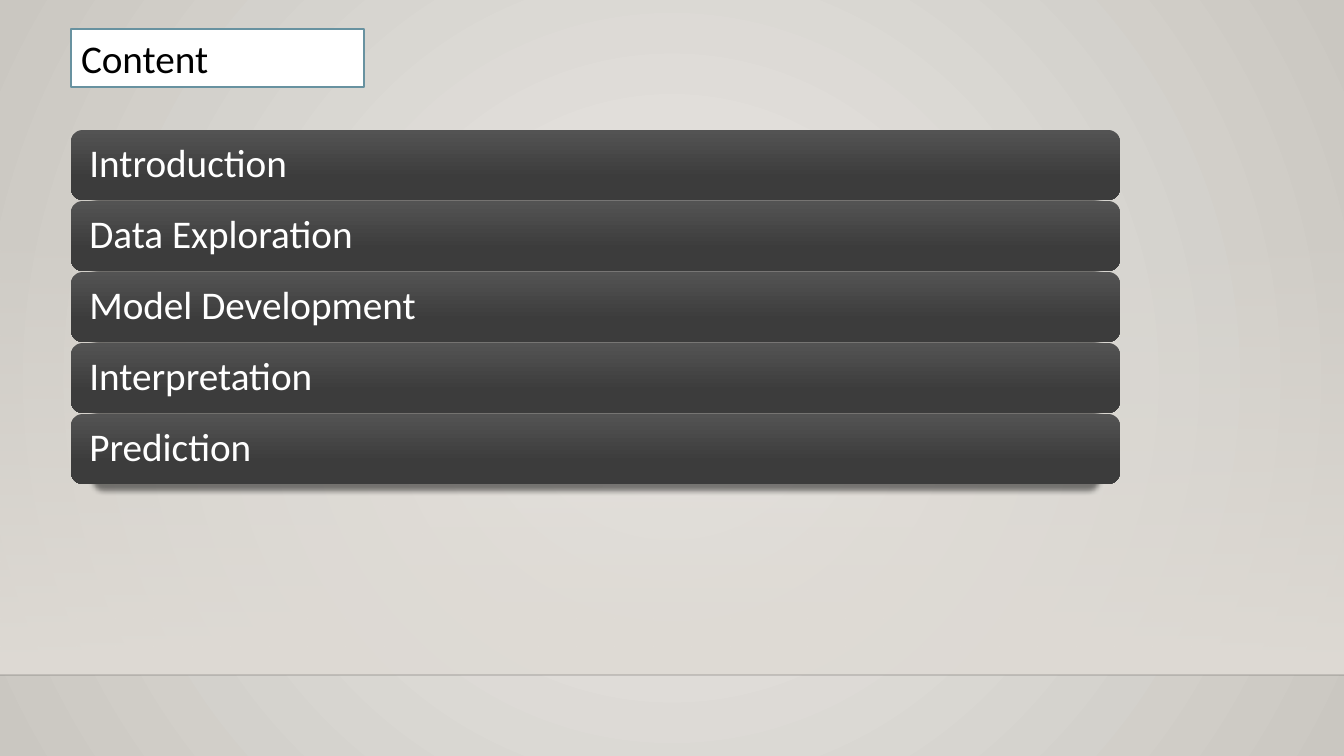
from lxml import etree
from pptx import Presentation
from pptx.dml.color import RGBColor
from pptx.enum.shapes import MSO_CONNECTOR as Connector, MSO_SHAPE as Shape
from pptx.enum.text import MSO_ANCHOR as Anchor, PP_ALIGN as Align
from pptx.oxml import parse_xml
from pptx.oxml.ns import nsdecls, qn
from pptx.util import Pt

TITLE = "Content"
TOPICS = [
    "Introduction",
    "Data Exploration",
    "Model Development",
    "Interpretation",
    "Prediction",
]
COLORS = {
    "center": "ECEAE7", "edge": "CAC7C1", "wall": "DFDBD5", "horizon": "000001",
    "bar_top": "535353", "bar_middle": "3C3C3C", "bar_bottom": "393939",
    "shadow": "000000", "title_fill": "FFFFFF", "title_line": "6892A0",
    "title_text": "000000", "bar_text": "FFFFFF",
}
FONT = "Calibri"
PX = 9071
WIDTH, HEIGHT = 1344, 756
WALL_TOP, HORIZON = 223, 675
LEFT = 71
TITLE_BOX = (LEFT, 29, 293, 58)
BAR_TOP, BAR_WIDTH, BAR_HEIGHT, BAR_STEP = 130, 1049, 70, 71

LINEAR = '<a:lin ang="5400000" scaled="0"/>'
RADIAL = ('<a:path path="circle"><a:fillToRect l="50000" t="50000" '
          'r="50000" b="50000"/></a:path>')


def emu(*lengths):
    return [length * PX for length in lengths]


def gradient(stops, direction):
    marks = "".join(
        f'<a:gs pos="{position * 1000}"><a:srgbClr val="{COLORS[name]}">'
        f'<a:alpha val="{opacity * 1000}"/></a:srgbClr></a:gs>'
        for position, name, opacity in stops)
    return (f'<a:gradFill {nsdecls("a")} rotWithShape="1">'
            f'<a:gsLst>{marks}</a:gsLst>{direction}</a:gradFill>')


def set_background(slide, stops):
    slide.element.cSld.insert(0, parse_xml(
        f'<p:bg {nsdecls("p", "a")}><p:bgPr>{gradient(stops, RADIAL)}'
        '<a:effectLst/></p:bgPr></p:bg>'))


def add_box(slide, kind, box, stops=None):
    shape = slide.shapes.add_shape(kind, *emu(*box))
    shape.shadow.inherit = False
    shape.line.fill.background()
    if stops:
        geometry = shape.element.spPr.find(qn("a:prstGeom"))
        geometry.addnext(parse_xml(gradient(stops, LINEAR)))
    return shape


def add_shadow(shape):
    effects = shape.element.spPr.find(qn("a:effectLst"))
    effects.append(parse_xml(
        f'<a:outerShdw {nsdecls("a")} blurRad="{Pt(4)}" dist="{Pt(4)}" '
        'dir="5400000" sx="96000" sy="100000" algn="ctr" rotWithShape="0">'
        f'<a:srgbClr val="{COLORS["shadow"]}"><a:alpha val="48000"/></a:srgbClr>'
        '</a:outerShdw>'))


def write_text(shape, text, color, inset=10, spacing=1.0, size=28):
    frame = shape.text_frame
    frame.word_wrap = True
    frame.vertical_anchor = Anchor.MIDDLE
    frame.margin_left = frame.margin_right = inset * PX
    paragraph = frame.paragraphs[0]
    paragraph.alignment = Align.LEFT
    paragraph.line_spacing = spacing
    run = paragraph.add_run()
    run.text = text
    run.font.name = FONT
    run.font.size = Pt(size)
    run.font.color.rgb = RGBColor.from_string(COLORS[color])


def add_horizon(slide):
    line = slide.shapes.add_connector(
        Connector.STRAIGHT, *emu(0, HORIZON, WIDTH, HORIZON))
    line.line.width = Pt(1)
    line.line.color.rgb = RGBColor.from_string(COLORS["horizon"])
    color = line.element.spPr.find(".//" + qn("a:srgbClr"))
    etree.SubElement(color, qn("a:alpha")).set("val", "20000")
    etree.SubElement(line.element.spPr, qn("a:effectLst"))


def main():
    presentation = Presentation()
    presentation.slide_width, presentation.slide_height = emu(WIDTH, HEIGHT)
    slide = presentation.slides.add_slide(presentation.slide_layouts[6])

    set_background(slide, [(0, "center", 100), (100, "edge", 100)])
    add_box(slide, Shape.RECTANGLE, (0, WALL_TOP, WIDTH, HORIZON - WALL_TOP),
            [(0, "wall", 0), (100, "wall", 100)])
    add_horizon(slide)

    bar_stops = [(0, "bar_top", 100), (69, "bar_middle", 100), (100, "bar_bottom", 100)]
    for index, topic in enumerate(TOPICS):
        top = BAR_TOP + index * BAR_STEP
        bar = add_box(slide, Shape.ROUNDED_RECTANGLE,
                      (LEFT, top, BAR_WIDTH, BAR_HEIGHT), bar_stops)
        add_shadow(bar)
        write_text(bar, topic, "bar_text", inset=15, spacing=0.9)

    title = add_box(slide, Shape.RECTANGLE, TITLE_BOX)
    title.fill.solid()
    title.fill.fore_color.rgb = RGBColor.from_string(COLORS["title_fill"])
    title.line.color.rgb = RGBColor.from_string(COLORS["title_line"])
    title.line.width = Pt(1.25)
    write_text(title, TITLE, "title_text")

    presentation.save("out.pptx")


if __name__ == "__main__":
    main()
